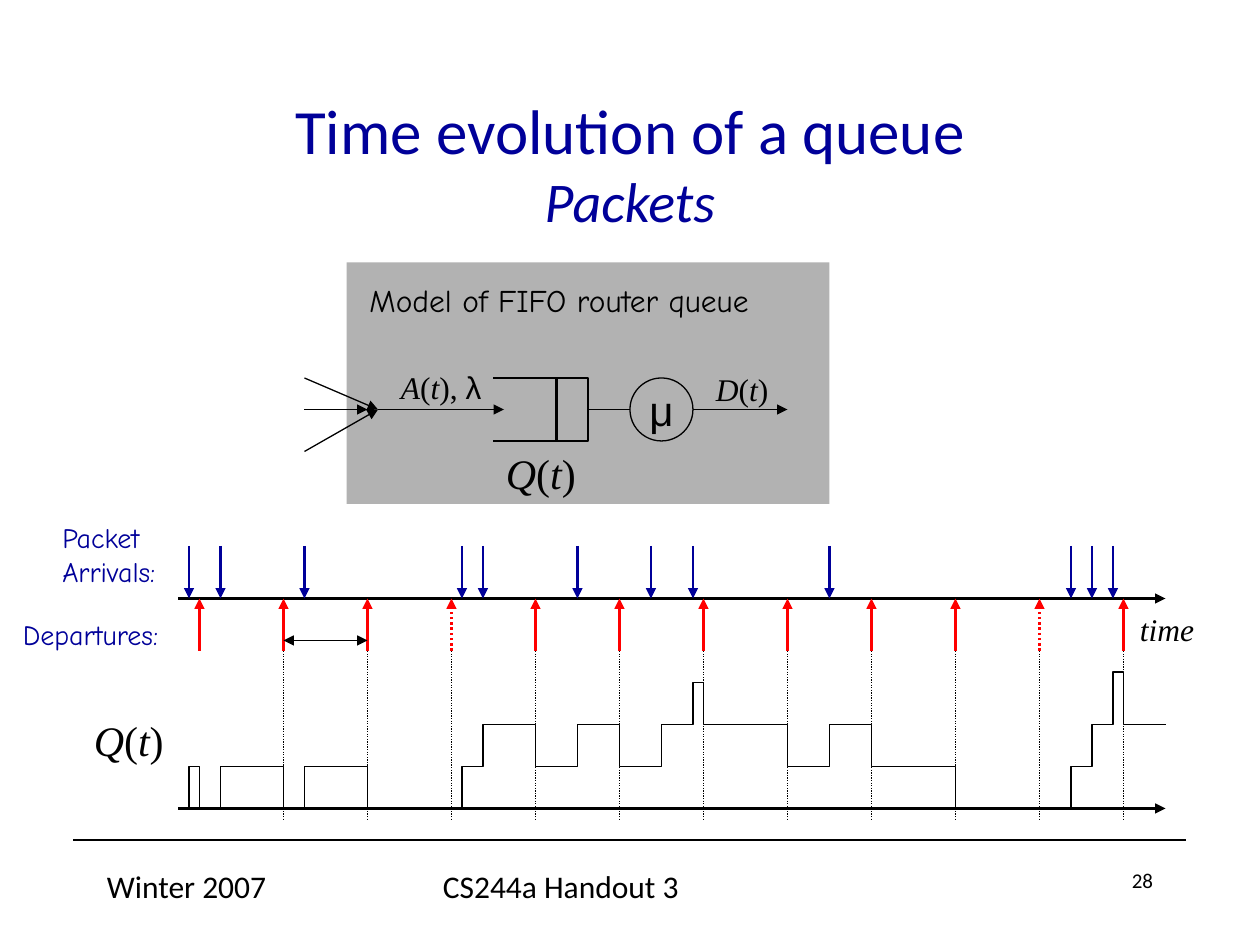
from itertools import groupby

from lxml.etree import SubElement
from pptx import Presentation
from pptx.dml.color import RGBColor
from pptx.enum.dml import MSO_LINE as DASH
from pptx.enum.shapes import MSO_CONNECTOR as CONN, MSO_SHAPE as SHAPE
from pptx.enum.text import MSO_ANCHOR as ANCHOR, MSO_AUTO_SIZE as FIT, PP_ALIGN as ALIGN
from pptx.oxml.ns import qn
from pptx.util import Pt

PX = 9525  # EMU per px, 96 px to the inch
BLACK, NAVY, RED, GREY = "000000", "000099", "FF0000", "B2B2B2"
SANS, SYMBOL, HAND, SERIF = "Calibri", "Arial", "Comic Neue", "Times New Roman"
THIN, THICK = 0.75, 1.5


def rgb(color):
    return RGBColor.from_string(color)


def emu(*lengths):
    return [n * PX for n in lengths]


def set_font(font, name, size, color=BLACK):
    font.name, font.size = name, Pt(size)
    font.color.rgb = rgb(color)


class QueueSlide:
    def __init__(self, prs):
        self.slide = prs.slides.add_slide(prs.slide_layouts[5])
        self.shapes = self.slide.shapes

    def title(self, box, main, sub):
        sp = self.shapes.title
        sp.left, sp.top, sp.width, sp.height = emu(*box)
        tf = sp.text_frame
        tf.word_wrap, tf.vertical_anchor = True, ANCHOR.MIDDLE
        p = tf.paragraphs[0]
        p.alignment = ALIGN.CENTER
        set_font(p.font, SANS, 36, NAVY)
        p.add_run().text = main
        p.add_line_break()
        r = p.add_run()
        r.text = sub
        r.font.size, r.font.italic = Pt(32), True

    def frame(self, box, wrap=False):
        """Text frame of a new box, which grows with its text unless it wraps."""
        tf = self.shapes.add_textbox(*emu(*box)).text_frame
        tf.word_wrap = wrap
        tf.auto_size = FIT.NONE if wrap else FIT.SHAPE_TO_FIT_TEXT
        return tf

    def text(self, box, lines, font, size, color=BLACK, wrap=False, align=None):
        tf = self.frame(box, wrap)
        tf.text = lines
        for p in tf.paragraphs:
            p.alignment = align
            set_font(p.font, font, size, color)

    def math(self, box, formula, size):
        """Latin letters become italic, Greek ones use the symbol font."""
        p = self.frame(box).paragraphs[0]
        kinds = groupby(formula, lambda c: (c.isascii(), c.isascii() and c.isalpha()))
        for (latin, italic), chars in kinds:
            r = p.add_run()
            r.text = "".join(chars)
            set_font(r.font, SERIF if latin else SYMBOL, size)
            r.font.italic = italic

    def shape(self, kind, box, fill=None, line=None):
        sp = self.shapes.add_shape(kind, *emu(*box))
        sp.shadow.inherit = False
        self.paint(sp, fill, line)
        return sp

    def paint(self, sp, fill, width):
        if fill:
            sp.fill.solid()
            sp.fill.fore_color.rgb = rgb(fill)
        else:
            sp.fill.background()
        if width:
            sp.line.color.rgb, sp.line.width = rgb(BLACK), Pt(width)
        else:
            sp.line.fill.background()

    def line(self, start, end, color=BLACK, width=THIN, dotted=False, ends=()):
        """ends names the arrowheads: headEnd at start, tailEnd at end."""
        ln = self.shapes.add_connector(CONN.STRAIGHT, *emu(*start, *end))
        ln.line.color.rgb, ln.line.width = rgb(color), Pt(width)
        if dotted:
            ln.line.dash_style = DASH.ROUND_DOT
        sp_pr = ln.element.spPr
        for tag in ends:
            SubElement(sp_pr.find(qn("a:ln")), qn(f"a:{tag}"), type="triangle")
        SubElement(sp_pr, qn("a:effectLst"))

    def arrow(self, start, end, color=BLACK, width=THIN, dotted=False):
        self.line(start, end, color, width, dotted, ("tailEnd",))

    def outline(self, points, width):
        builder = self.shapes.build_freeform(*points[0], scale=PX)
        builder.add_line_segments(points[1:], close=False)
        sp = builder.convert_to_shape()
        sp.shadow.inherit = False
        self.paint(sp, None, width)


def draw_model(s):
    s.shape(SHAPE.RECTANGLE, (264, 200, 368, 184), fill=GREY)
    s.outline([(376, 288), (448, 288), (448, 336), (376, 336)], THICK)
    s.line((424, 288), (424, 336), width=THICK)

    server = s.shape(SHAPE.OVAL, (480, 288, 48, 48), line=THIN)
    tf = server.text_frame
    tf.word_wrap, tf.vertical_anchor = False, ANCHOR.MIDDLE
    tf.text = "μ"
    p = tf.paragraphs[0]
    p.alignment = ALIGN.CENTER
    set_font(p.font, SYMBOL, 24)

    mid = 312
    s.line((448, mid), (480, mid))
    s.arrow((528, mid), (600, mid))
    s.arrow((288, mid), (384, mid))
    for y, end_x in ((288, 288), (mid, 280), (344, 288)):
        s.arrow((232, y), (end_x, mid))

    s.math((296, 276, 82, 38), "A(t), λ", 18)
    s.math((536, 277, 60, 38), "D(t)", 18)
    s.math((376, 336, 73, 48), "Q(t)", 24)
    s.text((272, 209, 338, 38), "Model of FIFO router queue", HAND, 18)


def draw_timeline(s):
    left, right, axis, base = 136, 888, 456, 616
    arrivals = (144, 168, 232, 352, 368, 440, 496, 528, 632, 816, 832, 848)
    departures = range(152, 857, 64)
    idle = (departures[3], departures[10])

    for y in (axis, base):
        s.arrow((left, y), (right, y), width=THICK)
    for x in arrivals:
        s.arrow((x, 416), (x, axis), NAVY, THICK)
    for x in departures:
        s.arrow((x, 496), (x, axis), RED, THICK, dotted=x in idle)
    for x in departures[1:]:
        s.line((x, 496), (x, 624), dotted=True)
    s.line((departures[1], 488), (departures[2], 488), ends=("headEnd", "tailEnd"))

    # Time of each change and the height of the curve after it
    changes = [
        (144, 584), (152, base), (168, 584), (216, base), (232, 584), (280, base),
        (352, 584), (368, 552), (408, 584), (440, 552), (472, 584), (504, 552),
        (528, 520), (536, 552), (600, 584), (632, 552), (664, 584), (728, base),
        (816, 584), (832, 552), (848, 512), (856, 552),
    ]
    curve, level = [], base
    for x, y in changes:
        curve += [(x, level), (x, y)]
        level = y
    s.outline(curve + [(right, level)], THIN)

    s.text((38, 392, 106, 61), "Packet\nArrivals:", HAND, 16, NAVY)
    s.text((8, 466, 139, 36), "Departures:", HAND, 16, NAVY)
    s.math((859, 460, 64, 38), "time", 18)
    s.math((62, 540, 73, 48), "Q(t)", 24)


def draw_footer(s):
    s.line((56, 640), (904, 640))
    s.text((72, 656, 200, 48), "Winter 2007", SANS, 18, wrap=True)
    s.text((328, 656, 304, 48), "CS244a Handout 3", SANS, 18, wrap=True)
    s.text((688, 656, 200, 48), "28", SANS, 12, wrap=True, align=ALIGN.RIGHT)


def main():
    prs = Presentation()
    prs.slide_width, prs.slide_height = emu(960, 720)
    s = QueueSlide(prs)
    draw_footer(s)
    s.title((72, 64, 816, 120), "Time evolution of a queue", "Packets")
    draw_model(s)
    draw_timeline(s)
    prs.save("out.pptx")


if __name__ == "__main__":
    main()
